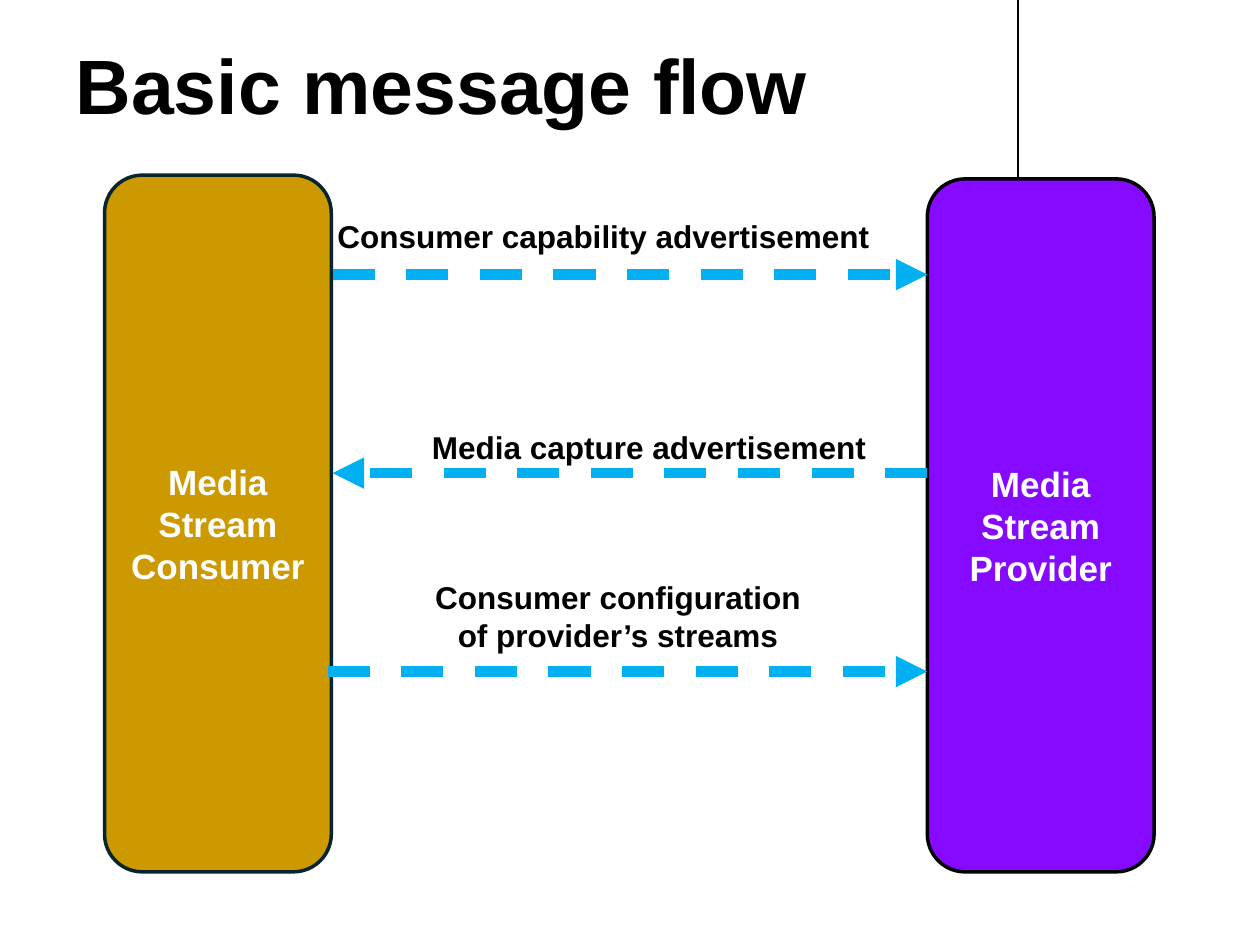
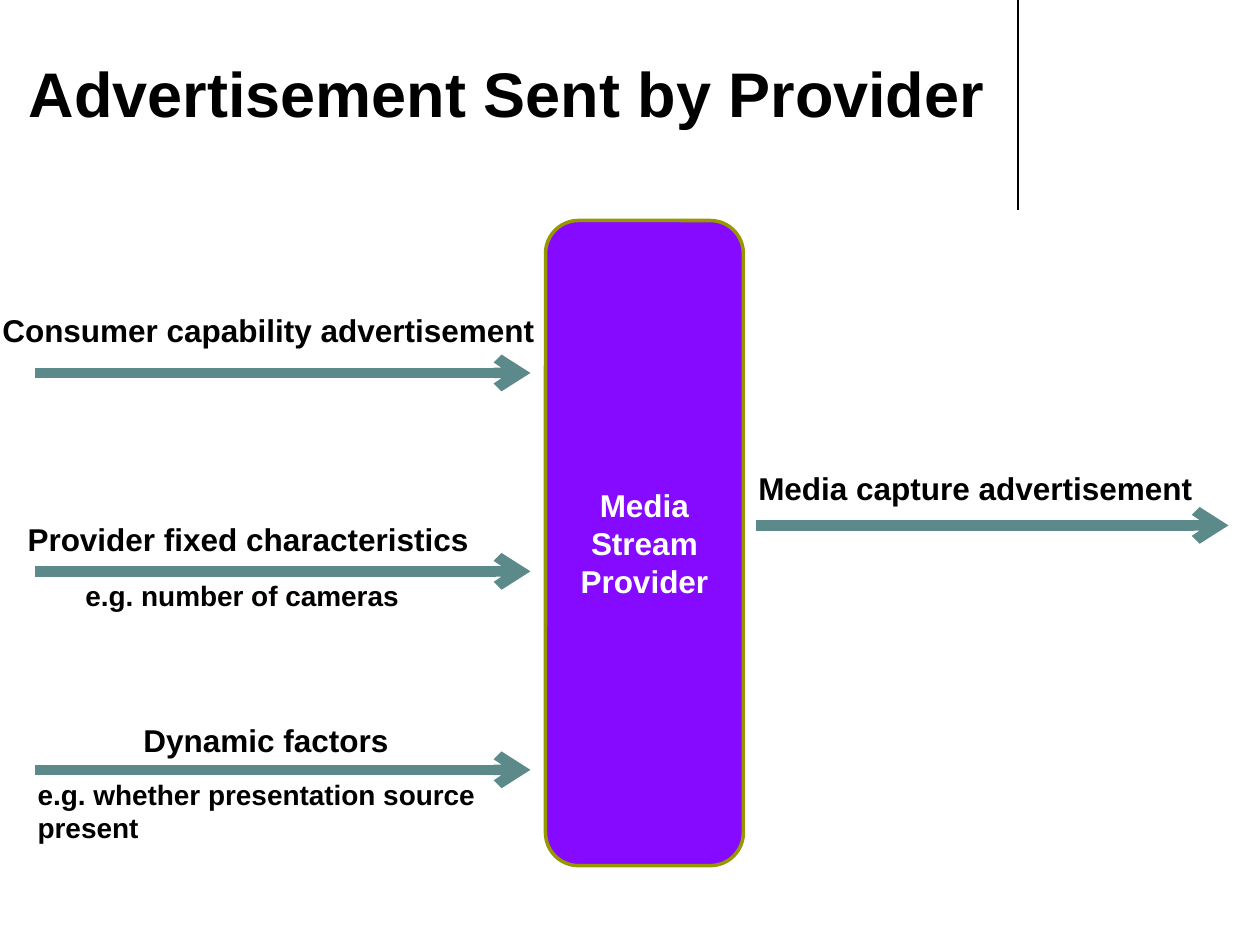
"""Build two slides on the message flow between a media consumer and provider."""
from dataclasses import dataclass

from lxml import etree
from pptx import Presentation
from pptx.dml.color import RGBColor
from pptx.enum.dml import MSO_LINE
from pptx.enum.shapes import MSO_CONNECTOR, MSO_SHAPE
from pptx.enum.text import MSO_ANCHOR, MSO_AUTO_SIZE, PP_ALIGN
from pptx.oxml.ns import qn
from pptx.util import Inches, Pt

STRAIGHT = MSO_CONNECTOR.STRAIGHT
ROUNDED = MSO_SHAPE.ROUNDED_RECTANGLE
DASH = MSO_LINE.DASH
LEFT, CENTER = PP_ALIGN.LEFT, PP_ALIGN.CENTER
TOP, MIDDLE, BOTTOM = MSO_ANCHOR.TOP, MSO_ANCHOR.MIDDLE, MSO_ANCHOR.BOTTOM

FONT = "Arial"
TITLE_ONLY = 5
COLORS = {
    "text": "000000",
    "box_text": "FFFFFF",
    "divider": "000000",
    "consumer": "CC9900",
    "consumer_edge": "08252E",
    "provider": "850AFF",
    "provider_edge": "000000",
    "olive_edge": "979700",
    "message": "00B0F0",
    "input": "5C8A8A",
}


@dataclass
class Box:
    """A rounded box for one party."""
    text: str
    left: float
    top: float
    width: float
    height: float
    fill: str
    edge: str
    size: int


@dataclass
class Label:
    """A bold caption with one paragraph per line."""
    lines: tuple[str, ...]
    left: float
    top: float
    width: float
    height: float = 0.4
    size: int = 18
    align: PP_ALIGN = LEFT


@dataclass
class Arrow:
    """A horizontal arrow from one x to another."""
    start: float
    end: float
    y: float


@dataclass
class ArrowStyle:
    """The look shared by the arrows of a slide."""
    color: str
    head: str
    dashed: bool


MESSAGE = ArrowStyle("message", "triangle", True)
INPUT = ArrowStyle("input", "arrow", False)

CONSUMER_EDGE_X, PROVIDER_EDGE_X = 2.64, 7.36
FLOW_TOP, FLOW_STEP = 2.18, 1.575
FLOW_Y = [FLOW_TOP + i * FLOW_STEP for i in range(3)]
INPUT_TOP = 2.96
INPUT_Y = [INPUT_TOP + i * FLOW_STEP for i in range(3)]

FLOW_BOXES = [
    Box("Media Stream Consumer", 0.83, 1.39, 1.8, 5.53, "consumer", "consumer_edge", 20),
    Box("Media Stream Provider", 7.36, 1.42, 1.8, 5.5, "provider", "provider_edge", 20),
]
FLOW_ARROWS = [
    Arrow(CONSUMER_EDGE_X, PROVIDER_EDGE_X, FLOW_Y[0]),
    Arrow(PROVIDER_EDGE_X, CONSUMER_EDGE_X, FLOW_Y[1]),
    Arrow(CONSUMER_EDGE_X - 0.04, PROVIDER_EDGE_X, FLOW_Y[2]),
]
FLOW_LABELS = [
    Label(("Consumer capability advertisement",), 2.58, 1.67, 4.51),
    Label(("Media capture advertisement",), 3.33, 3.35, 3.75),
    Label(("Consumer configuration", "of provider’s streams"), 2.92, 4.54, 3.97, 0.71,
          align=CENTER),
]

PROVIDER_BOXES = [
    Box("Media Stream Provider", 4.33, 1.75, 1.57, 5.12, "provider", "olive_edge", 18),
]
PROVIDER_ARROWS = [Arrow(0.28, 4.21, y) for y in INPUT_Y] + [Arrow(6, 9.75, 4.17)]
PROVIDER_LABELS = [
    Label(("Consumer capability advertisement",), -0.08, 2.42, 4.75),
    Label(("Provider fixed characteristics",), 0.12, 4.08, 4.21),
    Label(("e.g. number of cameras",), 0.58, 4.54, 3.63, size=16),
    Label(("Dynamic factors",), 1.04, 5.67, 2.63),
    Label(("e.g. whether presentation source present",), 0.2, 6.12, 4.02, size=16),
    Label(("Media capture advertisement",), 5.92, 3.67, 4.13),
]


def rgb(name: str) -> RGBColor:
    """Return a named colour."""
    return RGBColor.from_string(COLORS[name])


def write(tf, lines: tuple[str, ...], size: int, color: str, align: PP_ALIGN,
          anchor: MSO_ANCHOR) -> None:
    """Fill a text frame with bold paragraphs."""
    tf.word_wrap = True
    tf.auto_size = MSO_AUTO_SIZE.NONE
    tf.vertical_anchor = anchor
    for i, line in enumerate(lines):
        p = tf.paragraphs[0] if i == 0 else tf.add_paragraph()
        p.alignment = align
        r = p.add_run()
        r.text = line
        r.font.name = FONT
        r.font.size = Pt(size)
        r.font.bold = True
        r.font.color.rgb = rgb(color)


def add_line(s, start: tuple[float, float], end: tuple[float, float], color: str,
             width: float):
    """Draw a straight line without a shadow."""
    points = [Inches(v) for v in (*start, *end)]
    line = s.shapes.add_connector(STRAIGHT, *points)
    line.line.color.rgb = rgb(color)
    line.line.width = Pt(width)
    etree.SubElement(line._element.spPr, qn("a:effectLst"))
    return line


def add_arrow(s, arrow: Arrow, style: ArrowStyle) -> None:
    """Draw a thick arrow in the given style."""
    line = add_line(s, (arrow.start, arrow.y), (arrow.end, arrow.y), style.color, 6)
    if style.dashed:
        line.line.dash_style = DASH
    ln = line._element.spPr.find(qn("a:ln"))
    etree.SubElement(ln, qn("a:tailEnd"), type=style.head)


def add_box(s, box: Box) -> None:
    """Draw a party's rounded box."""
    sp = s.shapes.add_shape(ROUNDED, Inches(box.left), Inches(box.top),
                            Inches(box.width), Inches(box.height))
    sp.shadow.inherit = False
    sp.fill.solid()
    sp.fill.fore_color.rgb = rgb(box.fill)
    sp.line.color.rgb = rgb(box.edge)
    sp.line.width = Pt(2)
    write(sp.text_frame, (box.text,), box.size, "box_text", CENTER, MIDDLE)


def add_label(s, label: Label) -> None:
    """Add a caption."""
    sp = s.shapes.add_textbox(Inches(label.left), Inches(label.top),
                              Inches(label.width), Inches(label.height))
    write(sp.text_frame, label.lines, label.size, "text", label.align, TOP)


def add_slide(prs, title: str, left: float, width: float, size: int, boxes: list[Box],
              arrows: list[Arrow], style: ArrowStyle, labels: list[Label]) -> None:
    """Add a titled slide with its divider, boxes, arrows and captions."""
    s = prs.slides.add_slide(prs.slide_layouts[TITLE_ONLY])
    sp = s.shapes.title
    sp.left, sp.top = Inches(left), Inches(0.13)
    sp.width, sp.height = Inches(width), Inches(0.95)
    write(sp.text_frame, (title,), size, "text", LEFT, BOTTOM)
    add_line(s, (8.08, 0), (8.08, 1.67), "divider", 0.75)
    for box in boxes:
        add_box(s, box)
    for arrow in arrows:
        add_arrow(s, arrow, style)
    for label in labels:
        add_label(s, label)


def main() -> None:
    """Build and save the presentation."""
    prs = Presentation()
    prs.slide_width, prs.slide_height = Inches(10), Inches(7.5)
    add_slide(prs, "Basic message flow", 0.5, 7.5, 44,
              FLOW_BOXES, FLOW_ARROWS, MESSAGE, FLOW_LABELS)
    add_slide(prs, "Advertisement Sent by Provider", 0.13, 7.87, 36,
              PROVIDER_BOXES, PROVIDER_ARROWS, INPUT, PROVIDER_LABELS)
    prs.save("out.pptx")


if __name__ == "__main__":
    main()
